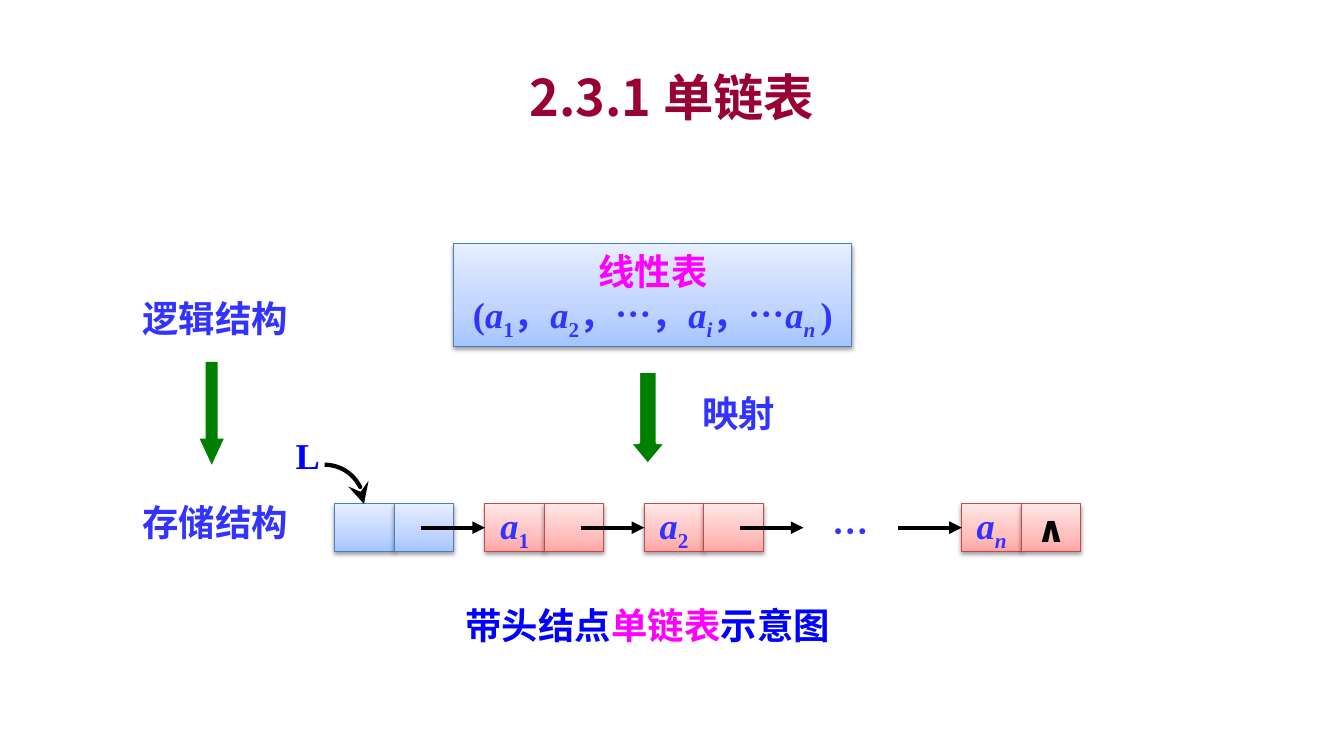
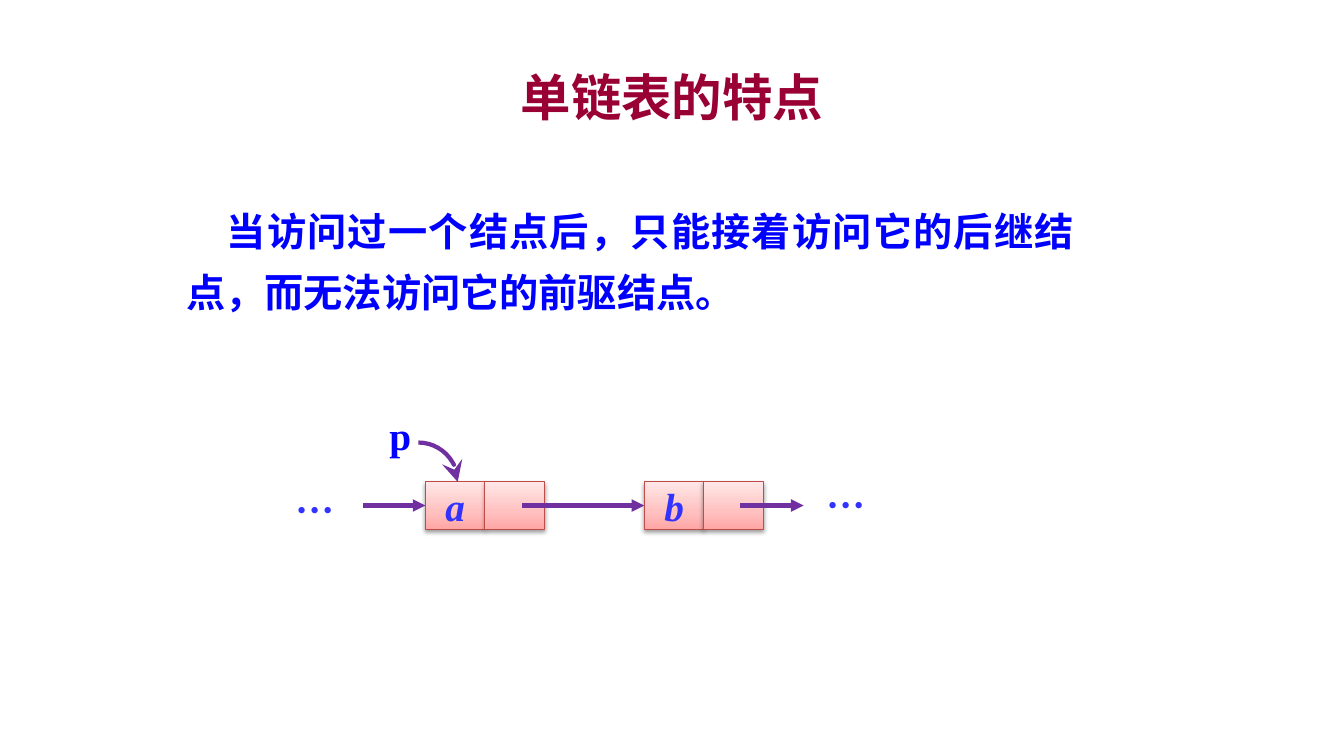
from copy import deepcopy

from lxml import etree
from pptx import Presentation
from pptx.dml.color import RGBColor
from pptx.enum.lang import MSO_LANGUAGE_ID
from pptx.enum.shapes import MSO_CONNECTOR, MSO_SHAPE
from pptx.enum.text import MSO_ANCHOR, MSO_AUTO_SIZE, PP_ALIGN
from pptx.oxml.ns import qn
from pptx.util import Inches, Pt

RECT, ARC, DOWN = MSO_SHAPE.RECTANGLE, MSO_SHAPE.ARC, MSO_SHAPE.DOWN_ARROW
STRAIGHT = MSO_CONNECTOR.STRAIGHT
CENTER, LEFT, JUSTIFY = PP_ALIGN.CENTER, PP_ALIGN.LEFT, PP_ALIGN.JUSTIFY
MIDDLE, TOP = MSO_ANCHOR.MIDDLE, MSO_ANCHOR.TOP
GROW = MSO_AUTO_SIZE.SHAPE_TO_FIT_TEXT
CHINESE = MSO_LANGUAGE_ID.SIMPLIFIED_CHINESE
LEFT_SIDE = 1

# Shared look
SANS, SERIF, SYMBOL = "Noto Sans CJK SC", "Times New Roman", "Calibri"
BLUE, INDIGO, MAGENTA = "0000FF", "3333FF", "FF00FF"
MAROON, GREEN, BLACK, PURPLE, WHITE = "990033", "008000", "000000", "7030A0", "FFFFFF"
HEAD_SKIN = {"line": "4B7EBC", "stops": ["A4C4FF", "BFD4FF", "E6EEFF"]}
DATA_SKIN = {"line": "BF4C48", "stops": ["FFA6A5", "FFC0BF", "FFE7E7"]}
STOP_POSITIONS = [0, 0.35, 1]
CELL_WIDTH, CELL_HEIGHT, ARC_RADIUS = 0.59, 0.47, 0.39
LINK_LENGTH = 0.63

# Run styles
ITALIC, SUB, ITALIC_SUB = {"italic": True}, {"sub": True}, {"italic": True, "sub": True}

# Slide 1 content
LIST_TITLE = "2.3.1 单链表"
LIST_BOX = [
    [("线性表", {"color": MAGENTA})],
    [("(", {}), ("a", ITALIC), ("1", SUB), ("，", {}), ("a", ITALIC), ("2", SUB),
     ("，…，", {}), ("a", ITALIC), ("i", ITALIC_SUB), ("，…", {}), ("a", ITALIC),
     ("n ", ITALIC_SUB), (")", {})],
]
LIST_LABELS = [  # text, left, top, width
    ("映射", 6.78, 3.83, 1.09),
    ("逻辑结构", 1.19, 2.89, 1.89),
    ("存储结构", 1.19, 4.91, 1.89),
    ("…", 8.12, 5, 0.63),
]
BLOCK_ARROWS = [  # left, top, width, height, head ratio, outline
    (6.23, 3.68, 0.39, 0.94, 0.6, WHITE),
    (1.98, 3.59, 0.24, 1.02, 1.08, None),
]
LIST_NODES = [  # left, skin, data runs, pointer runs
    (3.32, HEAD_SKIN, [], []),
    (4.81, DATA_SKIN, [("a", ITALIC), ("1", SUB)], []),
    (6.39, DATA_SKIN, [("a", ITALIC), ("2", SUB)], []),
    (9.54, DATA_SKIN, [("a", ITALIC), ("n", ITALIC_SUB)],
     [("∧", {"font": SYMBOL, "color": BLACK})]),
]
CAPTION = [("带头结点", {}), ("单链表", {"color": MAGENTA}), ("示意图", {})]

# Slide 2 content
TRAIT_TITLE = "单链表的特点"
TRAIT_TEXT = "当访问过一个结点后，只能接着访问它的后继结点，而无法访问它的前驱结点。"
TRAIT_NODES = [
    (4.22, DATA_SKIN, [("a", ITALIC)], []),
    (6.39, DATA_SKIN, [("b", ITALIC)], []),
]
TRAIT_DOTS = [(8.08, 4.73), (2.81, 4.78)]


def rgb(value):
    return RGBColor.from_string(value)


def write(frame, paragraphs, size, color, font, align=CENTER):
    """Fill a text frame with paragraphs of (text, style) runs."""
    for index, runs in enumerate(paragraphs):
        para = frame.add_paragraph() if index else frame.paragraphs[0]
        para.alignment = align
        for text, style in runs:
            span = para.add_run()
            span.text = text
            span.font.size, span.font.bold = Pt(size), True
            span.font.italic = style.get("italic", False)
            span.font.name = style.get("font", font)
            span.font.color.rgb = rgb(style.get("color", color))
            span.font.language_id = CHINESE
            properties = span._r.get_or_add_rPr()
            etree.SubElement(properties, qn("a:ea")).set("typeface", SANS)
            if style.get("sub"):
                properties.set("baseline", "-25000")


def add_text(page, runs, left, top, width, height, size, color,
             font=SANS, align=CENTER, anchor=TOP):
    box = page.shapes.add_textbox(Inches(left), Inches(top), Inches(width), Inches(height))
    frame = box.text_frame
    frame.word_wrap = True
    frame.vertical_anchor = anchor
    if anchor == TOP:
        frame.auto_size = GROW
    write(frame, [runs], size, color, font, align)
    return box


def add_page(deck, title):
    page = deck.slides.add_slide(deck.slide_layouts[6])
    add_text(page, [(title, {})], 1, 0.58, 11.33, 0.75, 36, MAROON, anchor=MIDDLE)
    return page


def add_panel(page, left, top, width, height, skin, paragraphs, size):
    """Rectangle with a vertical gradient and a soft shadow below."""
    panel = page.shapes.add_shape(RECT, Inches(left), Inches(top), Inches(width), Inches(height))
    panel.fill.gradient()
    panel.fill.gradient_angle = 90
    stop_list = panel._element.spPr.find(".//" + qn("a:gsLst"))
    stop_list.append(deepcopy(stop_list[-1]))
    for stop, position, color in zip(panel.fill.gradient_stops, STOP_POSITIONS, skin["stops"]):
        stop.position = position
        stop.color.rgb = rgb(color)
    panel.line.color.rgb = rgb(skin["line"])
    panel.line.width = Pt(0.75)
    panel.shadow.inherit = False
    effects = panel._element.spPr.find(qn("a:effectLst"))
    shadow = etree.SubElement(effects, qn("a:outerShdw"), blurRad="40000", dist="20000",
                              dir="5400000", rotWithShape="0")
    tint = etree.SubElement(shadow, qn("a:srgbClr"), val=BLACK)
    etree.SubElement(tint, qn("a:alpha"), val="38000")
    panel.text_frame.word_wrap = False
    panel.text_frame.vertical_anchor = MIDDLE
    write(panel.text_frame, paragraphs, size, INDIGO, SERIF)
    return panel


def add_nodes(page, nodes, top, size):
    """Draw each node as a data cell and a pointer cell; return the data cells."""
    data_cells = []
    for left, skin, data, pointer in nodes:
        pair = [add_panel(page, left + column * CELL_WIDTH, top, CELL_WIDTH, CELL_HEIGHT,
                          skin, [runs], size)
                for column, runs in enumerate((data, pointer))]
        data_cells.append(pair[0])
    return data_cells


def style_stroke(item, color, head, head_size):
    item.line.color.rgb = rgb(color)
    item.line.width = Pt(3)
    outline = item.line._get_or_add_ln()
    etree.SubElement(outline, qn("a:tailEnd"), type=head, w=head_size, len=head_size)


def add_link(page, start, end, top, color, target=None):
    """Straight arrow at mid-cell height, joined to the target cell if there is one."""
    level = Inches(top + CELL_HEIGHT / 2)
    link = page.shapes.add_connector(STRAIGHT, Inches(start), level, Inches(end), level)
    if target is not None:
        link.end_connect(target, LEFT_SIDE)
    style_stroke(link, color, "triangle", "med")
    etree.SubElement(link._element.spPr, qn("a:effectLst"))


def add_pointer(page, name, left, top, size, color):
    """Named pointer: quarter arc that ends on the cell top, with its label."""
    side = 2 * ARC_RADIUS
    arc = page.shapes.add_shape(ARC, Inches(left - ARC_RADIUS), Inches(top - ARC_RADIUS),
                                Inches(side), Inches(side))
    arc.fill.background()
    arc.shadow.inherit = False
    style_stroke(arc, color, "stealth", "lg")
    add_text(page, [(name, {})], left - 0.385, top - 0.75, 0.47, 0.54, size, BLUE,
             SERIF, LEFT)


def build_list_page(deck):
    page, size, top = add_page(deck, LIST_TITLE), 26, 5
    add_panel(page, 4.5, 2.42, 3.95, 1.02, HEAD_SKIN, LIST_BOX, size)
    for left, arrow_top, width, height, ratio, outline in BLOCK_ARROWS:
        arrow = page.shapes.add_shape(DOWN, Inches(left), Inches(arrow_top),
                                      Inches(width), Inches(height))
        arrow.adjustments[1] = ratio
        arrow.shadow.inherit = False
        arrow.fill.solid()
        arrow.fill.fore_color.rgb = rgb(GREEN)
        if outline:
            arrow.line.color.rgb = rgb(outline)
            arrow.line.width = Pt(3)
        else:
            arrow.line.fill.background()
    for text, left, label_top, width in LIST_LABELS:
        add_text(page, [(text, {})], left, label_top, width, 0.54, size, INDIGO)
    cells = add_nodes(page, LIST_NODES, top, size)
    add_pointer(page, "L", 3.22, top, size, BLACK)
    # Links into a1, a2, the gap and an
    for end, target in [(4.81, cells[1]), (6.39, cells[2]), (7.97, None), (9.54, cells[3])]:
        add_link(page, end - LINK_LENGTH, end, top, BLACK, target)
    add_text(page, CAPTION, 4.06, 5.93, 4.73, 0.54, size, BLUE)


def build_trait_page(deck):
    page, size, top = add_page(deck, TRAIT_TITLE), 28, 4.78
    body = add_text(page, [(TRAIT_TEXT, {})], 1.75, 1.87, 9, 1.24, size, BLUE, align=JUSTIFY)
    para = body.text_frame.paragraphs[0]
    para.line_spacing = 1.3
    para._p.get_or_add_pPr().set("indent", str(Inches(0.4)))
    cells = add_nodes(page, TRAIT_NODES, top, size)
    add_pointer(page, "p", 4.15, top, size, PURPLE)
    for start, end, target in [(3.6, 4.22, cells[0]), (5.18, 6.39, cells[1]), (7.34, 7.97, None)]:
        add_link(page, start, end, top, PURPLE, target)
    for left, dots_top in TRAIT_DOTS:
        add_text(page, [("…", {})], left, dots_top, 0.63, 0.57, size, INDIGO)


def main():
    deck = Presentation()
    deck.slide_width, deck.slide_height = Inches(13.33), Inches(7.5)
    build_list_page(deck)
    build_trait_page(deck)
    deck.save("out.pptx")


if __name__ == "__main__":
    main()
